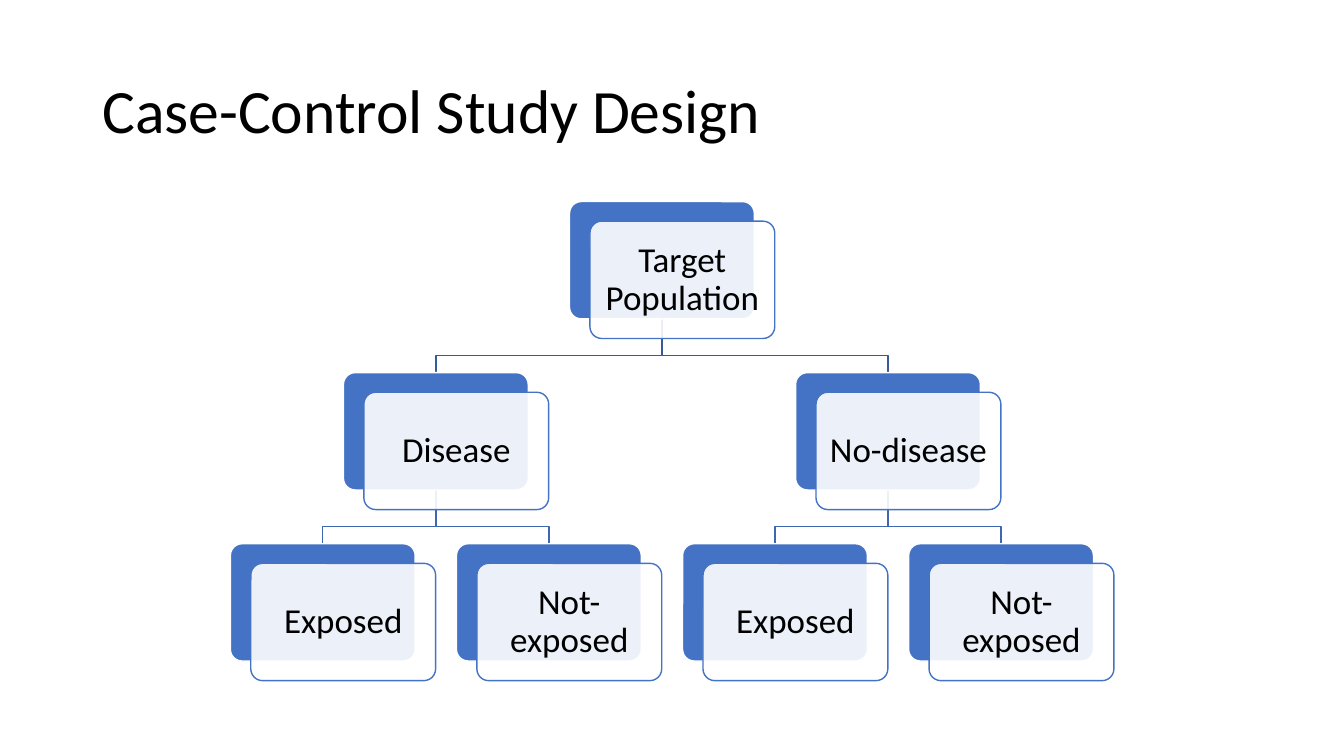
from dataclasses import dataclass
from typing import Optional

from lxml.etree import SubElement
from pptx import Presentation
from pptx.dml.color import RGBColor
from pptx.enum.shapes import MSO_SHAPE as Preset
from pptx.enum.text import MSO_ANCHOR as Anchor, PP_ALIGN as Align
from pptx.oxml.ns import qn
from pptx.shapes.autoshape import Shape
from pptx.shapes.shapetree import SlideShapes
from pptx.text.text import TextFrame
from pptx.util import Pt


@dataclass(frozen=True)
class Theme:
    font: str = "Calibri"
    title_size: float = 44
    label_size: float = 25
    text: str = "000000"
    paper: str = "FFFFFF"
    accent: str = "4472C4"
    link_colors: tuple[str, ...] = ("365B9D", "3E67B2")
    line_width: float = 1
    front_opacity: int = 90


@dataclass(frozen=True)
class Group:
    label: str
    level: int
    column: float
    parent: Optional["Group"] = None

    @property
    def left(self) -> float:
        return ROOT_LEFT + self.column * COLUMN_PITCH

    @property
    def top(self) -> float:
        return ROOT_TOP + self.level * LEVEL_PITCH

    @property
    def center(self) -> float:
        return self.left + CARD_WIDTH / 2


THEME = Theme()
CARD_WIDTH, CARD_HEIGHT = 132, 83.8
ROOT_LEFT, ROOT_TOP = 406.8, 144
COLUMN_PITCH, LEVEL_PITCH = 161.5, 122.2
FRONT_SHIFT_X, FRONT_SHIFT_Y = 14.6, 14
BEND_RISE = 12.2
CORNER = 0.1

TARGET = Group("Target Population", 0, 0)
BRANCHES = [
    Group(label, 1, side, TARGET)
    for label, side in (("Disease", -1), ("No-disease", 1))
]
EXPOSURES = [
    Group(label, 2, branch.column + side, branch)
    for branch in BRANCHES
    for label, side in (("Exposed", -0.5), ("Not-exposed", 0.5))
]
GROUPS = [TARGET, *BRANCHES, *EXPOSURES]


def write(frame: TextFrame, text: str, *, size: float, align: Align,
          inset_x: float = 7.2, inset_y: float = 3.6) -> None:
    frame.word_wrap = True
    frame.vertical_anchor = Anchor.MIDDLE
    frame.margin_left = frame.margin_right = Pt(inset_x)
    frame.margin_top = frame.margin_bottom = Pt(inset_y)
    paragraph = frame.paragraphs[0]
    paragraph.alignment = align
    paragraph.line_spacing = 0.9
    run = paragraph.add_run()
    run.text = text
    run.font.name = THEME.font
    run.font.size = Pt(size)
    run.font.color.rgb = RGBColor.from_string(THEME.text)


def outline(shape: Shape, color: str) -> None:
    shape.shadow.inherit = False
    shape.line.color.rgb = RGBColor.from_string(color)
    shape.line.width = Pt(THEME.line_width)


def draw_card(shapes: SlideShapes, left: float, top: float, *, fill: str,
              line: str, opacity: int = 100) -> Shape:
    card = shapes.add_shape(Preset.ROUNDED_RECTANGLE, Pt(left), Pt(top),
                            Pt(CARD_WIDTH), Pt(CARD_HEIGHT))
    card.adjustments[0] = CORNER
    card.fill.solid()
    card.fill.fore_color.rgb = RGBColor.from_string(fill)
    if opacity < 100:
        color = card.element.spPr.find(qn("a:solidFill")).find(qn("a:srgbClr"))
        SubElement(color, qn("a:alpha"), val=str(opacity * 1000))
    outline(card, line)
    return card


def draw_group(shapes: SlideShapes, group: Group) -> None:
    draw_card(shapes, group.left, group.top,
              fill=THEME.accent, line=THEME.paper)
    front = draw_card(shapes, group.left + FRONT_SHIFT_X,
                      group.top + FRONT_SHIFT_Y, fill=THEME.paper,
                      line=THEME.accent, opacity=THEME.front_opacity)
    write(front.text_frame, group.label, size=THEME.label_size,
          align=Align.CENTER, inset_x=7, inset_y=7)


def draw_link(shapes: SlideShapes, parent: Group, child: Group) -> None:
    bend = child.top - BEND_RISE
    builder = shapes.build_freeform(Pt(parent.center),
                                    Pt(parent.top + CARD_HEIGHT))
    corners = [(parent.center, bend), (child.center, bend),
               (child.center, child.top)]
    builder.add_line_segments([(Pt(x), Pt(y)) for x, y in corners], close=False)
    link = builder.convert_to_shape()
    link.fill.background()
    outline(link, THEME.link_colors[parent.level])


def main() -> None:
    deck = Presentation()
    deck.slide_width, deck.slide_height = Pt(960), Pt(540)
    shapes = deck.slides.add_slide(deck.slide_layouts[6]).shapes
    title = shapes.add_textbox(Pt(66), Pt(28.8), Pt(828), Pt(104.4))
    write(title.text_frame, "Case-Control Study Design",
          size=THEME.title_size, align=Align.LEFT)
    for group in reversed(GROUPS):
        if group.parent:
            draw_link(shapes, group.parent, group)
    for group in GROUPS:
        draw_group(shapes, group)
    deck.save("out.pptx")


if __name__ == "__main__":
    main()
